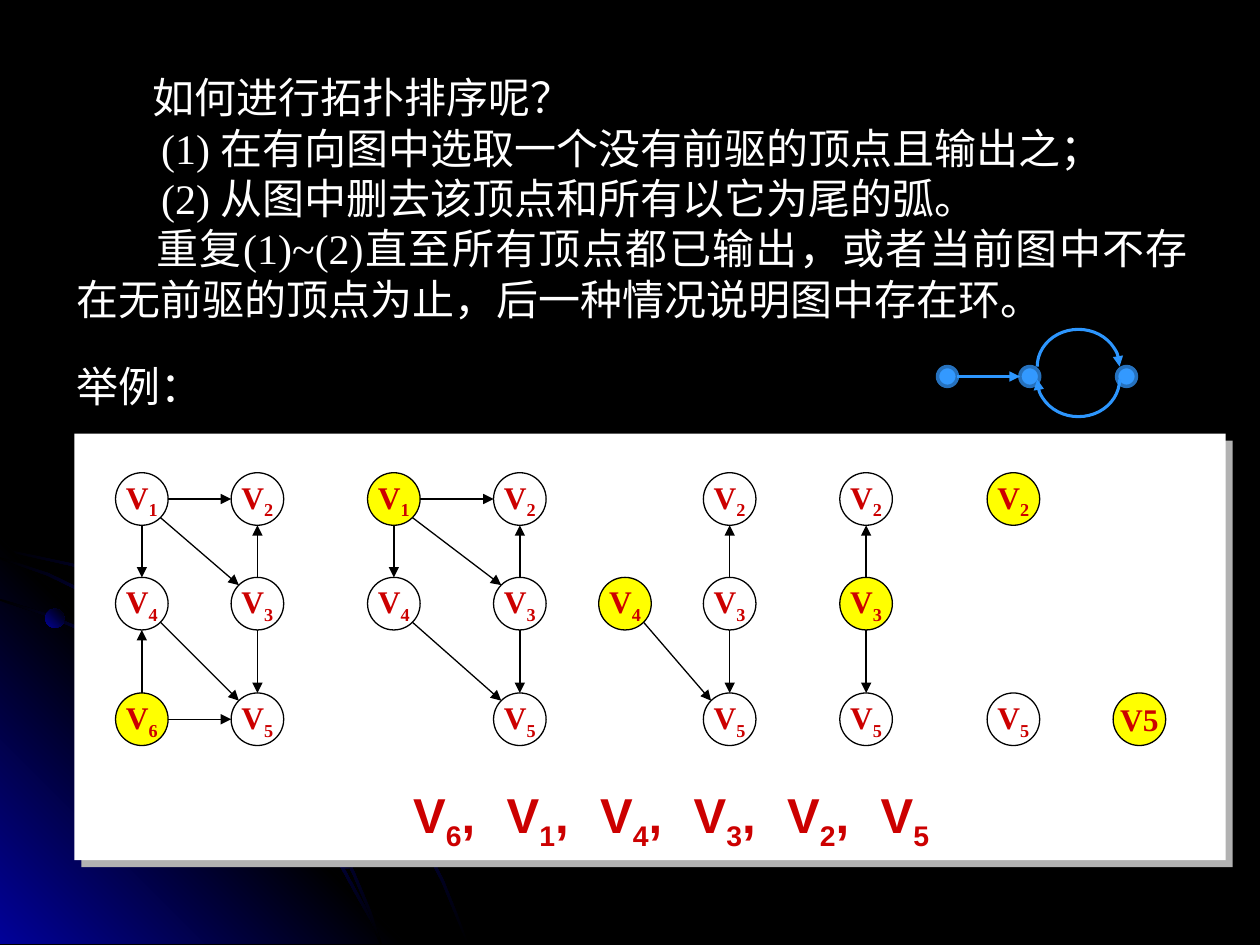
import math
from lxml import etree
from pptx import Presentation, util as u
from pptx.dml.color import RGBColor
from pptx.enum import shapes, text
from pptx.oxml import parse_xml
from pptx.oxml.ns import nsdecls, qn

COLORS = {"black": "000000", "white": "FFFFFF", "navy": "010199", "red": "CC0000",
          "yellow": "FFFF00", "shadow": "B2B2B2", "dot": "3399FF",
          "dot_edge": "2671BD", "loop": "2D96FE"}
SERIF, SANS = "Times New Roman", "Arial"
NODE = 1.06  # diameter of a graph vertex, cm


def color(name):
    return RGBColor.from_string(COLORS[name])


def add_run(paragraph, content, size, font, color_name, bold=False, subscript=False):
    run = paragraph.add_run()
    run.text = content
    run.font.size, run.font.name, run.font.bold = u.Pt(size), font, bold
    run.font.color.rgb = color(color_name)
    if subscript:
        run.font._element.set("baseline", "-25000")


def add_vertex_label(paragraph, label, size, font, tail=""):
    """Write V with a lowered digit, then an optional tail."""
    add_run(paragraph, "V", size, font, "red", True)
    add_run(paragraph, label, size, font, "red", True, subscript=True)
    if tail:
        add_run(paragraph, tail, size, font, "red", True)


def add_shape(slide, kind, left, top, width, height, fill=None, line=None, weight=0.75):
    shape = slide.shapes.add_shape(kind, u.Cm(left), u.Cm(top), u.Cm(width), u.Cm(height))
    style_shape(shape, fill, line, weight)
    return shape


def style_shape(shape, fill=None, line=None, weight=0.75):
    shape.shadow.inherit = False
    if fill:
        shape.fill.solid()
        shape.fill.fore_color.rgb = color(fill)
    else:
        shape.fill.background()
    if line:
        shape.line.color.rgb = color(line)
        shape.line.width = u.Pt(weight)
    else:
        shape.line.fill.background()


def set_gradient(shape, names, angle):
    stops = "".join(
        f'<a:gs pos="{round(100000 * i / (len(names) - 1))}"><a:srgbClr val="{COLORS[name]}"/></a:gs>'
        for i, name in enumerate(names))
    gradient = parse_xml(f'<a:gradFill {nsdecls("a")} rotWithShape="1"><a:gsLst>{stops}</a:gsLst>'
                         f'<a:lin ang="{angle * 60000}" scaled="0"/></a:gradFill>')
    properties = shape._element.spPr
    properties.replace(properties.find(qn("a:noFill")), gradient)


def add_arrowhead(shape):
    etree.SubElement(shape.line._get_or_add_ln(), qn("a:tailEnd"), type="triangle")


def add_arrow(slide, x1, y1, x2, y2, line="black", weight=0.75):
    arrow = slide.shapes.add_connector(shapes.MSO_CONNECTOR.STRAIGHT,
                                       u.Cm(x1), u.Cm(y1), u.Cm(x2), u.Cm(y2))
    arrow.line.color.rgb = color(line)
    arrow.line.width = u.Pt(weight)
    add_arrowhead(arrow)
    etree.SubElement(arrow._element.spPr, qn("a:effectLst"))


def add_text_box(slide, left, top, width, height, wrap=False):
    frame = slide.shapes.add_textbox(u.Cm(left), u.Cm(top), u.Cm(width), u.Cm(height)).text_frame
    frame.word_wrap = wrap
    return frame


def draw_backdrop(slide, left, top):
    """Black ground with a blue corner, three thin bands and two dots."""
    slide.background.fill.solid()
    slide.background.fill.fore_color.rgb = color("black")

    def add_outline(points, names, angle):
        points = [(u.Cm(left + x), u.Cm(top + y)) for x, y in points]
        builder = slide.shapes.build_freeform(*points[0], scale=1.0)
        builder.add_line_segments(points[1:], close=True)
        shape = builder.convert_to_shape()
        style_shape(shape)
        set_gradient(shape, names, angle)

    def add_band(edge):
        inner = [(max(x - 0.04, 0), min(y + 0.04, 8.18)) for x, y in reversed(edge)]
        add_outline(edge + inner, ["black", "navy", "black"], 45)

    add_band([(0, 0.2), (1.45, 0.51), (2.49, 0.81), (3.45, 1.27), (4.42, 1.78), (5.31, 2.39),
              (6.15, 3.07), (6.91, 3.83), (7.62, 4.67), (8.26, 5.61), (8.61, 6.25),
              (8.94, 6.88), (9.2, 7.52), (9.45, 8.18)])
    add_outline([(8.18, 8.18), (0, 8.18), (0, 0)], ["navy", "black", "navy"], 315)
    add_band([(0, 1.22), (1.04, 1.55), (2.01, 1.98), (2.97, 2.51), (3.86, 3.1), (4.67, 3.78),
              (5.46, 4.55), (6.15, 5.41), (6.76, 6.32), (7.26, 7.24), (7.52, 7.7), (7.7, 8.18)])
    add_band([(0, 0.38), (0.99, 0.71), (1.93, 1.17), (2.82, 1.68), (3.66, 2.26), (4.45, 2.95),
              (5.18, 3.71), (5.82, 4.47), (6.45, 5.38), (6.83, 6.05), (7.16, 6.76),
              (7.47, 7.49), (7.7, 8.18)])
    for x, y, angle in [(0.91, 1.42, 315), (6.78, 6.27, 45)]:
        dot = add_shape(slide, shapes.MSO_SHAPE.OVAL, left + x, top + y, 0.39, 0.39)
        set_gradient(dot, ["navy", "black"], angle)


def draw_explanation(slide, left, top, width, height):
    """Rules of the sort, then the heading of the example."""
    lines = [(1.52, "如何进行拓扑排序呢？"),
             (1.7, "(1) 在有向图中选取一个没有前驱的顶点且输出之；"),
             (1.7, "(2) 从图中删去该顶点和所有以它为尾的弧。"),
             (1.6, "重复(1)~(2)直至所有顶点都已输出，或者当前图中不存在无前驱的顶点为止，"
                   "后一种情况说明图中存在环。")]
    frame = add_text_box(slide, left, top, width, height, wrap=True)
    for index, (indent, content) in enumerate(lines):
        paragraph = frame.paragraphs[0] if index == 0 else frame.add_paragraph()
        paragraph.alignment = text.PP_ALIGN.JUSTIFY
        paragraph._p.get_or_add_pPr().set("indent", str(u.Cm(indent)))
        add_run(paragraph, content, 24, SERIF, "white")
    heading = add_text_box(slide, left, top + 5.82, 3.05, 1.27)
    add_run(heading.paragraphs[0], "举例：", 24, SERIF, "white")


def draw_cycle(slide, left, top):
    """One dot leading into a two-dot cycle."""
    size, middle = 0.4, top + 0.95
    for x in (0, 1.66, 3.61):
        add_shape(slide, shapes.MSO_SHAPE.OVAL, left + x, middle - size / 2, size, size,
                  "dot", "dot_edge", 2)
    # Arc angles are in units of 100000/60000 degrees: 108 is half a turn
    for y, start, end in [(0, 108, 0), (0.26, 0, 108)]:
        arc = add_shape(slide, shapes.MSO_SHAPE.ARC, left + 2.01, top + y, 1.66, 1.5,
                        line="loop", weight=1.75)
        arc.adjustments[0], arc.adjustments[1] = start, end
        add_arrowhead(arc)
    add_arrow(slide, left + size, middle, left + 1.66, middle, "loop", 1.75)


def draw_graph(slide, left, top, nodes, edges, chosen):
    """Vertices as {label: (x, y)}; edges as pairs of labels."""
    for label, (x, y) in nodes.items():
        circle = add_shape(slide, shapes.MSO_SHAPE.OVAL, left + x, top + y, NODE, NODE,
                           "yellow" if label == chosen else None, "black")
        frame = circle.text_frame
        frame.word_wrap = False
        frame.vertical_anchor = text.MSO_ANCHOR.MIDDLE
        paragraph = frame.paragraphs[0]
        paragraph.alignment = text.PP_ALIGN.CENTER
        if len(nodes) == 1:
            add_run(paragraph, "V" + label, 18, SERIF, "red", True)
        else:
            add_vertex_label(paragraph, label, 18, SERIF)
    for start, end in edges:
        (x1, y1), (x2, y2) = nodes[start], nodes[end]
        # Arrows join the circles at multiples of 45 degrees
        step_x, step_y = (x2 > x1) - (x2 < x1), (y2 > y1) - (y2 < y1)
        reach = NODE / 2 / math.hypot(step_x, step_y)
        dx, dy = step_x * reach, step_y * reach
        x0, y0 = left + NODE / 2, top + NODE / 2
        add_arrow(slide, x0 + x1 + dx, y0 + y1 + dy, x0 + x2 - dx, y0 + y2 - dy)


def draw_example(slide, left, top, width, height):
    """White panel with the graph after each removal and the resulting order."""
    panel = add_shape(slide, shapes.MSO_SHAPE.RECTANGLE, left, top, width, height, "white")
    panel._element.spPr.find(qn("a:effectLst")).append(parse_xml(
        f'<a:outerShdw {nsdecls("a")} dist="{u.Pt(5.7)}" dir="2700000" algn="ctr" rotWithShape="0">'
        f'<a:srgbClr val="{COLORS["shadow"]}"/></a:outerShdw>'))

    order = "614325"
    all_edges = ["12", "14", "13", "45", "32", "64", "65", "35"]
    rows = {"1": 0, "2": 0, "3": 2.11, "4": 2.11, "5": 4.44, "6": 4.44}
    # Left and right column of each stage
    columns = [(0.83, 3.16), (5.91, 8.45), (10.57, 12.68), (15.43, 15.43),
               (18.4, 18.4), (20.94, 20.94)]
    for stage, (first, second) in enumerate(columns):
        remaining = sorted(order[stage:])
        nodes = {label: (first if label in "146" else second, rows[label]) for label in remaining}
        edges = [edge for edge in all_edges if set(edge) <= set(remaining)]
        draw_graph(slide, left, top + 0.79, nodes, edges, order[stage])

    for index, label in enumerate(order):
        last = index == len(order) - 1
        frame = add_text_box(slide, left + 6.58 + 1.885 * index, top + 6.96,
                             1.55 if last else 2.08, 1.45)
        add_vertex_label(frame.paragraphs[0], label, 28, SANS, "" if last else ",")


def main():
    presentation = Presentation()
    presentation.slide_width, presentation.slide_height = u.Cm(25.4), u.Cm(19.05)
    slide = presentation.slides.add_slide(presentation.slide_layouts[6])
    draw_backdrop(slide, 0, 10.85)
    draw_explanation(slide, 1.3, 1.32, 22.91, 5.38)
    draw_example(slide, 1.5, 8.74, 23.21, 8.6)
    draw_cycle(slide, 18.9, 6.64)
    presentation.save("out.pptx")


if __name__ == "__main__":
    main()
